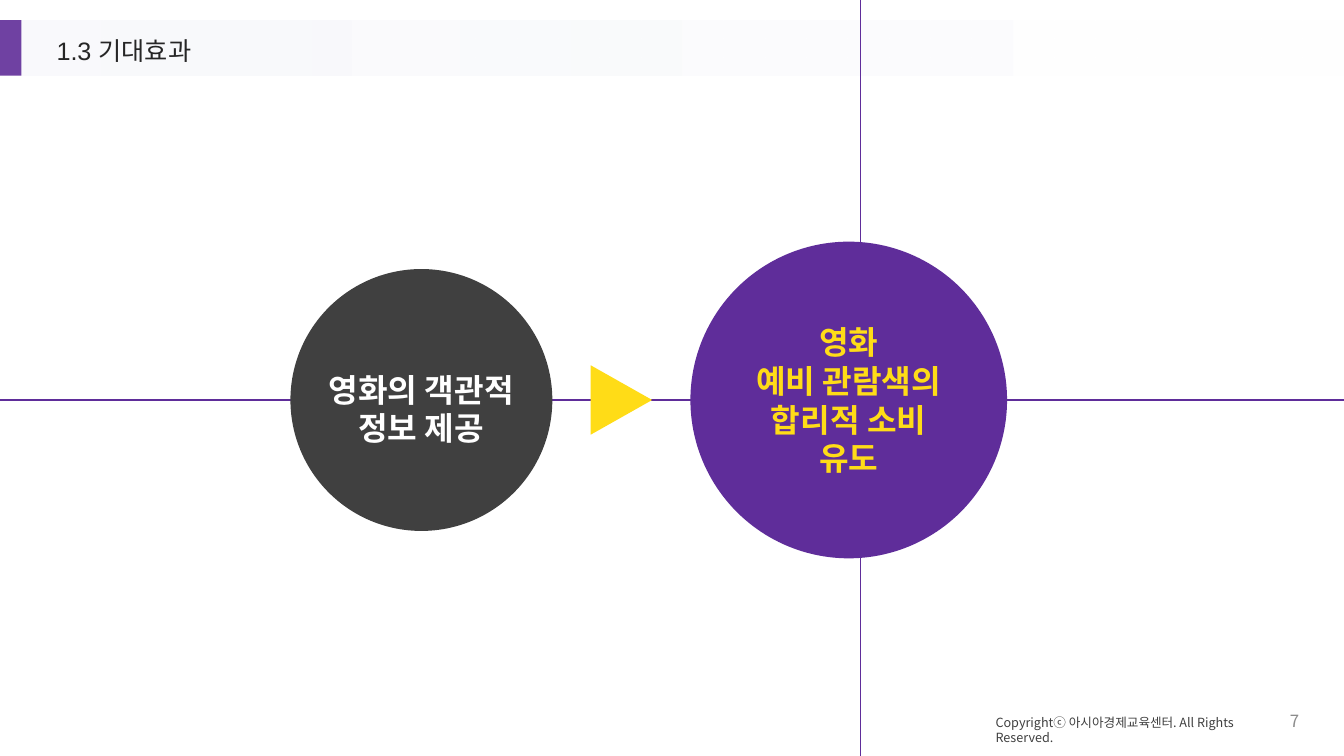
from lxml import etree
from pptx import Presentation
from pptx.dml.color import RGBColor
from pptx.enum.shapes import MSO_CONNECTOR, MSO_SHAPE
from pptx.enum.text import MSO_ANCHOR, MSO_AUTO_SIZE, PP_ALIGN
from pptx.oxml.ns import qn
from pptx.util import Cm, Pt

WIDTH, HEIGHT = 33.87, 19.05
AXIS_Y, AXIS_X = 10.08, 21.69
PURPLE, YELLOW, DARK = "5F2D9A", "FFDC17", "404040"
KOREAN = "Noto Sans CJK KR"


def color(hex_text):
    return RGBColor.from_string(hex_text)


def add_shape(slide, kind, box, fill=None):
    shape = slide.shapes.add_shape(kind, *map(Cm, box))
    shape.shadow.inherit = False
    shape.line.fill.background()
    if fill:
        shape.fill.solid()
        shape.fill.fore_color.rgb = color(fill)
    return shape


def write_lines(frame, lines, size, ink, align=PP_ALIGN.LEFT, bold=False, font=KOREAN):
    frame.word_wrap = True
    frame.auto_size = MSO_AUTO_SIZE.NONE
    frame.text = "\n".join(lines)
    for para in frame.paragraphs:
        para.alignment = align
        para.font.size = Pt(size)
        para.font.bold = bold
        para.font.name = font
        para.font.color.rgb = color(ink)
        if font == KOREAN:
            defaults = para._p.pPr.find(qn("a:defRPr"))
            etree.SubElement(defaults, qn("a:ea")).set("typeface", font)


def add_text(slide, box, lines, *style, **options):
    frame = slide.shapes.add_textbox(*map(Cm, box)).text_frame
    write_lines(frame, lines, *style, **options)
    return frame


def add_header(slide, box, text):
    left, top, width, height = box
    accent = 0.54
    band = add_shape(slide, MSO_SHAPE.RECTANGLE, (left + accent, top, width - accent, height))
    band.fill.gradient()
    band.fill.gradient_angle = 0
    tint, white = band.fill.gradient_stops
    tint.color.rgb, white.color.rgb = color("F6F7FB"), color("FFFFFF")
    first_color = band._element.spPr.find(".//" + qn("a:srgbClr"))
    etree.SubElement(first_color, qn("a:alpha")).set("val", "58000")
    add_shape(slide, MSO_SHAPE.RECTANGLE, (left, top, accent, height), "6F41A2")

    title = slide.shapes.title
    title.left, title.top = Cm(left + 1.17), Cm(top + 0.33)
    title.width, title.height = Cm(7.7), Cm(0.99)
    write_lines(title.text_frame, [text], 18, "262626", font="Arial")
    title.text_frame.vertical_anchor = MSO_ANCHOR.TOP
    title.text_frame.paragraphs[0].line_spacing = 0.9
    slide.shapes._spTree.append(title._element)  # in front of the band


def add_axis(slide, *ends):
    axis = slide.shapes.add_connector(MSO_CONNECTOR.STRAIGHT, *map(Cm, ends))
    axis.line.color.rgb = color(PURPLE)
    axis.line.width = Pt(1)
    etree.SubElement(axis._element.spPr, qn("a:effectLst"))


def add_circle(slide, box, fill, ink, lines, text_offset):
    left, top, size, _ = box
    add_shape(slide, MSO_SHAPE.OVAL, box, fill)
    text_height = 0.98 * len(lines) + 0.27
    text_top = top + (size - text_height) / 2 + text_offset
    add_text(slide, (left + 0.5, text_top, size - 1, text_height), lines, 23, ink,
             align=PP_ALIGN.CENTER, bold=True)


def add_footer(slide, box):
    left, top, width, height = box
    add_text(slide, (left, top + 0.23, 7.77, 0.64),
             ["Copyrightⓒ 아시아경제교육센터. All Rights Reserved."], 9, DARK)
    number = add_text(slide, (left + width - 1.57, top, 1.57, height), ["7"], 12, "8C8C8C",
                      align=PP_ALIGN.RIGHT)
    number.vertical_anchor = MSO_ANCHOR.MIDDLE


def centered(x, width, height):
    """Box around a point x on the horizontal axis."""
    return x - width / 2, AXIS_Y - height / 2, width, height


def main():
    deck = Presentation()
    deck.slide_width, deck.slide_height = Cm(WIDTH), Cm(HEIGHT)
    slide = deck.slides.add_slide(deck.slide_layouts[5])
    add_header(slide, (0, 0.51, WIDTH, 1.4), "1.3 기대효과")
    add_axis(slide, 0, AXIS_Y, WIDTH, AXIS_Y)
    add_axis(slide, AXIS_X, 0, AXIS_X, HEIGHT)
    add_footer(slide, (24.84, 17.65, 8.15, 1.02))
    add_circle(slide, centered(10.62, 6.6, 6.6), DARK, "FFFFFF",
               ["영화의 객관적", "정보 제공"], 0.23)
    add_circle(slide, centered(21.39, 7.98, 7.98), PURPLE, YELLOW,
               ["영화", "예비 관람색의", "합리적 소비", "유도"], 0.02)
    arrow = add_shape(slide, MSO_SHAPE.ISOSCELES_TRIANGLE, centered(15.66, 1.75, 1.55), YELLOW)
    arrow.rotation = 90
    deck.save("out.pptx")


if __name__ == "__main__":
    main()
